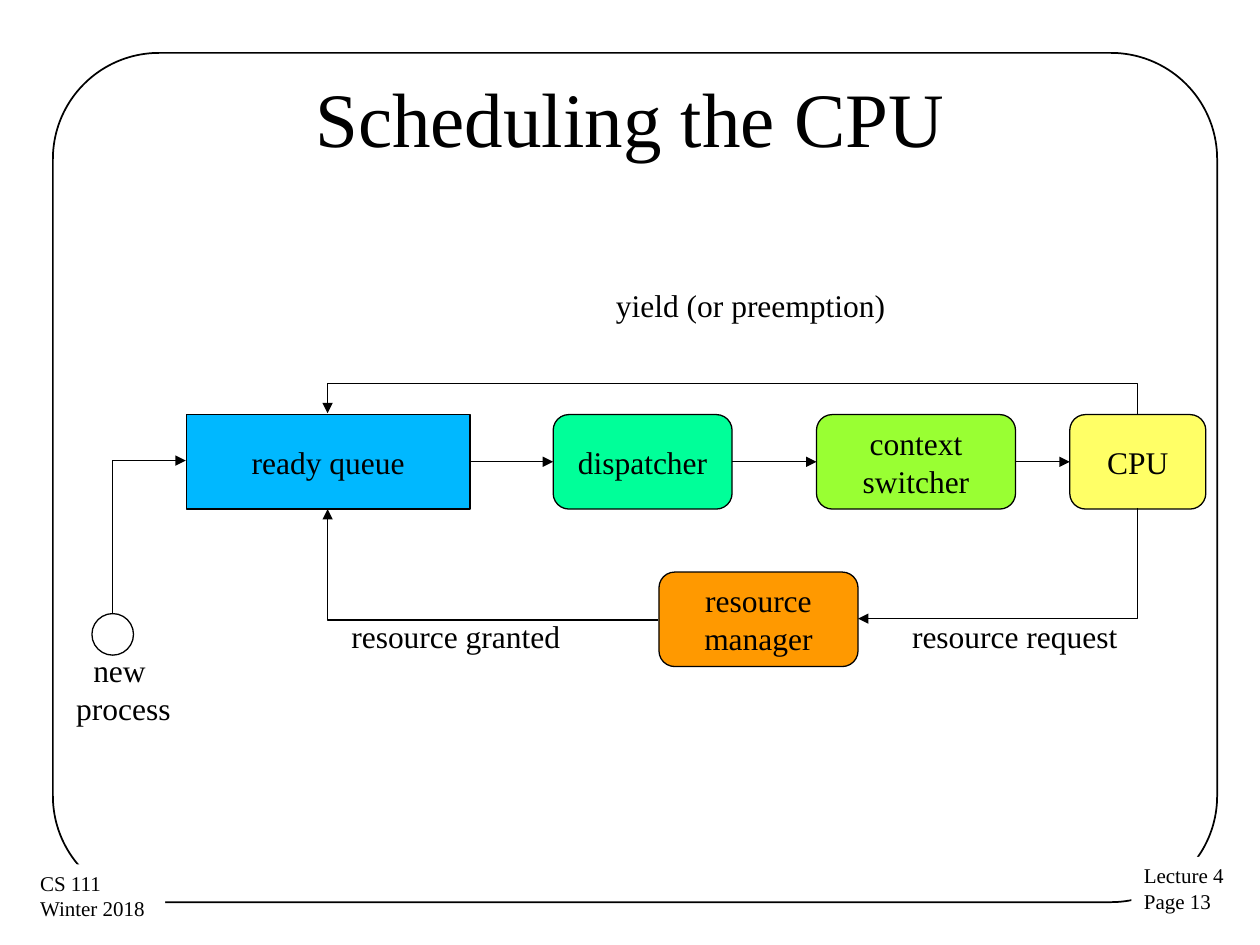
from lxml import etree
from pptx import Presentation
from pptx.dml.color import RGBColor
from pptx.enum.shapes import MSO_CONNECTOR, MSO_SHAPE
from pptx.enum.text import MSO_ANCHOR, MSO_AUTO_SIZE, PP_ALIGN
from pptx.oxml.ns import qn
from pptx.util import Inches, Pt

FONT = "Times New Roman"
LEFT, CENTER = PP_ALIGN.LEFT, PP_ALIGN.CENTER
MIDDLE = MSO_ANCHOR.MIDDLE
STRAIGHT, ELBOW = MSO_CONNECTOR.STRAIGHT, MSO_CONNECTOR.ELBOW
RECT, OVAL = MSO_SHAPE.RECTANGLE, MSO_SHAPE.OVAL
ROUNDED, STAGE = MSO_SHAPE.ROUNDED_RECTANGLE, MSO_SHAPE.FLOWCHART_ALTERNATE_PROCESS
LEFT_SITE, RIGHT_SITE = 1, 3
COLORS = {
    "black": "000000", "white": "FFFFFF", "queue": "00B8FF", "dispatcher": "00FF99",
    "switcher": "99FF33", "cpu": "FFFF66", "manager": "FF9900",
}


def color(name):
    return RGBColor.from_string(COLORS[name])


def write(frame, text, size, align):
    frame.text = text
    for paragraph in frame.paragraphs:
        paragraph.alignment = align
        paragraph.font.name = FONT
        paragraph.font.size = Pt(size)
        paragraph.font.color.rgb = color("black")


prs = Presentation()
prs.slide_width, prs.slide_height = Inches(10), Inches(7.5)
slide = prs.slides.add_slide(prs.slide_layouts[5])
shapes = slide.shapes

# Title
title = shapes.title
title.left, title.top = Inches(0.5), Inches(0.3)
title.width, title.height = Inches(9), Inches(1.25)
title.text_frame.vertical_anchor = MIDDLE
write(title.text_frame, "Scheduling the CPU", 44, CENTER)

# Frame, process stages and start circle
ROW_TOP, STAGE_HEIGHT = 3.29, 0.75
outlines = {}
for name, kind, left, top, width, height, fill, weight, text in [
    ("frame", ROUNDED, 0.42, 0.42, 9.24, 6.74, None, 1, ""),
    ("queue", RECT, 1.48, ROW_TOP, 2.25, STAGE_HEIGHT, "queue", 0.75, "ready queue"),
    ("dispatcher", STAGE, 4.39, ROW_TOP, 1.42, STAGE_HEIGHT, "dispatcher", 0.75, "dispatcher"),
    ("switcher", STAGE, 6.48, ROW_TOP, 1.58, STAGE_HEIGHT, "switcher", 0.75, "context\nswitcher"),
    ("cpu", STAGE, 8.49, ROW_TOP, 1.08, STAGE_HEIGHT, "cpu", 0.75, "CPU"),
    ("manager", STAGE, 5.23, 4.54, 1.58, STAGE_HEIGHT, "manager", 0.75, "resource\nmanager"),
    ("start", OVAL, 0.73, 4.87, 0.33, 0.33, None, 0.75, ""),
]:
    outline = shapes.add_shape(kind, Inches(left), Inches(top), Inches(width), Inches(height))
    outline.shadow.inherit = False
    outline.line.color.rgb = color("black")
    outline.line.width = Pt(weight)
    if fill:
        outline.fill.solid()
        outline.fill.fore_color.rgb = color(fill)
    else:
        outline.fill.background()
    if text:
        outline.text_frame.word_wrap = False
        outline.text_frame.vertical_anchor = MIDDLE
        write(outline.text_frame, text, 18, CENTER)
    outlines[name] = outline
outlines["frame"].adjustments[0] = 0.125

# Corner notes and flow labels
for left, top, width, height, size, align, fill, text in [
    (8.98, 6.8, 0.85, 0.51, 12, LEFT, "white", "Lecture 4\nPage 13"),
    (0.22, 6.86, 1.09, 0.51, 12, LEFT, "white", "CS 111\nWinter 2018 "),
    (4.79, 2.22, 2.38, 0.4, 18, LEFT, None, "yield (or preemption)"),
    (7.14, 4.85, 1.85, 0.4, 18, LEFT, None, "resource request"),
    (2.69, 4.85, 1.88, 0.4, 18, LEFT, None, "resource granted"),
    (0.5, 5.12, 0.96, 0.71, 18, CENTER, None, "new \nprocess"),
]:
    label = shapes.add_textbox(Inches(left), Inches(top), Inches(width), Inches(height))
    label.text_frame.word_wrap = False
    label.text_frame.auto_size = MSO_AUTO_SIZE.SHAPE_TO_FIT_TEXT
    write(label.text_frame, text, size, align)
    if fill:
        label.fill.solid()
        label.fill.fore_color.rgb = color(fill)

# Straight arrows along the main row
arrows = []
row = ["queue", "dispatcher", "switcher", "cpu"]
for source, target in zip(row, row[1:]):
    arrow = shapes.add_connector(STRAIGHT, 0, 0, 0, 0)
    arrow.begin_connect(outlines[source], RIGHT_SITE)
    arrow.end_connect(outlines[target], LEFT_SITE)
    arrows.append(arrow)

# Bent arrows: unrotated box, rotation in degrees, vertical flip, preset, bend
for left, top, width, height, degrees, flip, preset, bend in [
    (5.81, 0.07, 0.01, 6.43, 270, True, "bentConnector3", 25),    # yield
    (7.48, 3.36, 0.88, 2.22, 90, False, "bentConnector2", None),  # resource request
    (2.6, 4.04, 2.62, 0.88, 180, False, "bentConnector2", None),  # resource granted
    (0.58, 3.97, 1.21, 0.58, 270, False, "bentConnector2", None),  # new process
]:
    arrow = shapes.add_connector(ELBOW, Inches(left), Inches(top),
                                 Inches(left + width), Inches(top + height))
    properties = arrow._element.spPr
    transform = properties.find(qn("a:xfrm"))
    transform.set("rot", str(degrees * 60000))
    if flip:
        transform.set("flipV", "1")
    geometry = properties.find(qn("a:prstGeom"))
    geometry.set("prst", preset)
    if bend:
        guide = etree.SubElement(geometry.find(qn("a:avLst")), qn("a:gd"))
        guide.set("name", "adj1")
        guide.set("fmla", f"val {bend * 100000}")
    arrows.append(arrow)

# Line style and arrowheads
for arrow in arrows:
    arrow.line.color.rgb = color("black")
    arrow.line.width = Pt(0.75)
    etree.SubElement(arrow.line._get_or_add_ln(), qn("a:tailEnd")).set("type", "triangle")
    etree.SubElement(arrow._element.spPr, qn("a:effectLst"))

prs.save("out.pptx")
